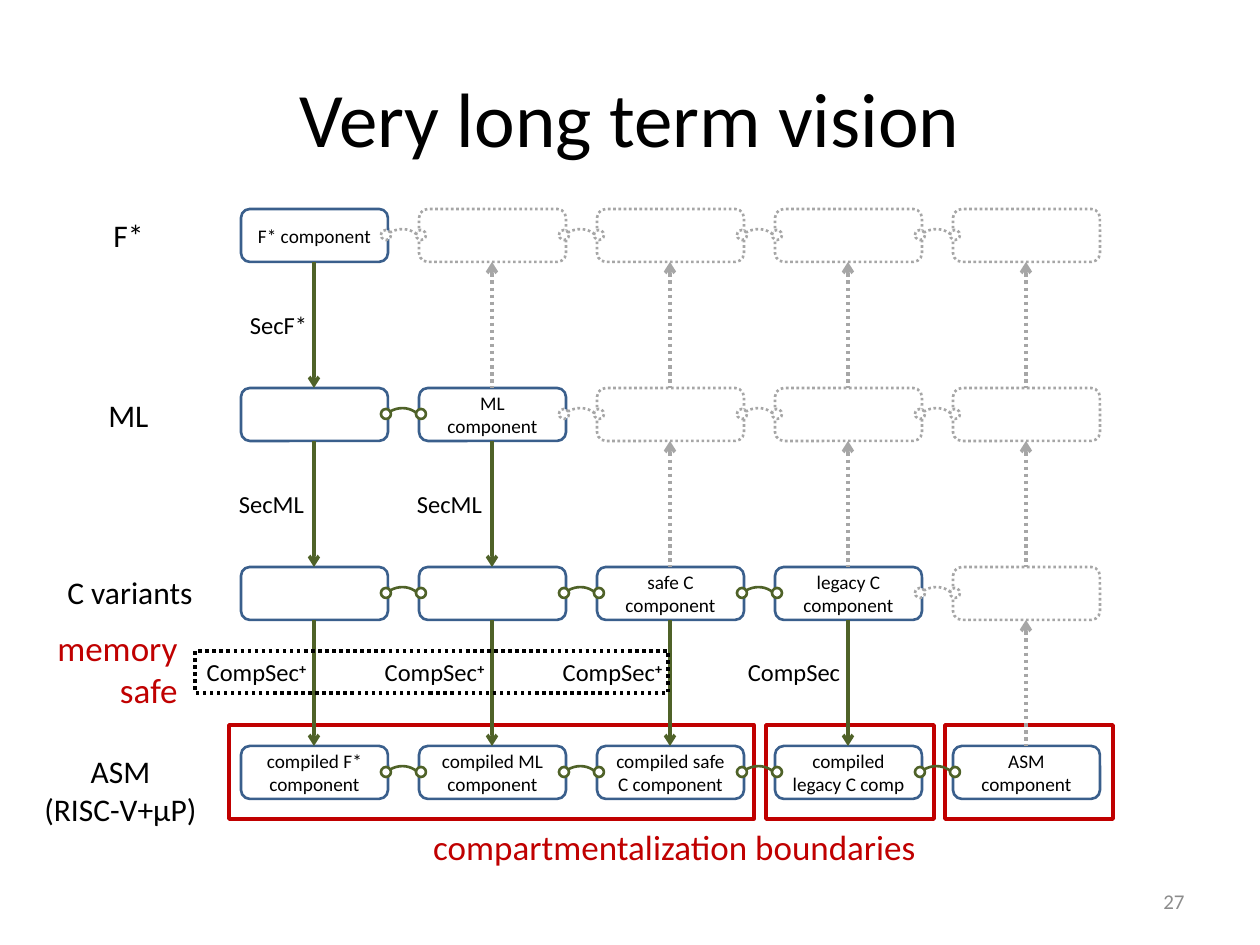
from pptx import Presentation
from pptx.dml.color import RGBColor
from pptx.enum.dml import MSO_LINE
from pptx.enum.shapes import MSO_CONNECTOR, MSO_SHAPE
from pptx.enum.text import MSO_ANCHOR, MSO_AUTO_SIZE, PP_ALIGN
from pptx.oxml.ns import qn
from pptx.util import Pt
from lxml import etree

PX = 914400 / 126
RECT, ROUND = MSO_SHAPE.RECTANGLE, MSO_SHAPE.ROUNDED_RECTANGLE
ARC, OVAL = MSO_SHAPE.ARC, MSO_SHAPE.OVAL
STRAIGHT = MSO_CONNECTOR.STRAIGHT
DOTTED = MSO_LINE.ROUND_DOT
LEFT, CENTER, RIGHT = PP_ALIGN.LEFT, PP_ALIGN.CENTER, PP_ALIGN.RIGHT
TOP, MIDDLE = MSO_ANCHOR.TOP, MSO_ANCHOR.MIDDLE
FIT = MSO_AUTO_SIZE.SHAPE_TO_FIT_TEXT

FONT = "Calibri"
COLORS = {"text": "000000", "paper": "FFFFFF", "number": "8C8C8C", "red": "C00000",
          "box": "3A5F8C", "secure": "4F6228", "faded": "A6A6A6"}

GRID = (241, 209, 860, 590)
COL_STEP, ROW_STEP = 178, 179
BOX_W, BOX_H = 147, 53
COLS = 5
# Last column of each row that holds a real component
LAST_REAL = [0, 1, 3, 4]
COMPONENTS = {
    (0, 0): "F* component", (1, 1): "ML component",
    (2, 2): "safe C component", (2, 3): "legacy C component",
    (3, 0): "compiled F* component", (3, 1): "compiled ML component",
    (3, 2): "compiled safe C component", (3, 3): "compiled legacy C comp",
    (3, 4): "ASM component",
}
# Text, superscript, left and top from the box above, width
SEC_F = ("SecF*", "", -4, 95, 83)
SEC_ML = ("SecML", "", -15, 95, 91)
COMP_SEC_PLUS = ("CompSec", "+", -50, 84, 131)
COMP_SEC = ("CompSec", "", -40, 84, 118)
COMPILERS = [[SEC_F], [SEC_ML] * 2, [COMP_SEC_PLUS] * 3 + [COMP_SEC]]
LEVELS = [
    (["F*"], (101, 210, 55, 50), LEFT),
    (["ML"], (96, 390, 66, 50), LEFT),
    (["C variants"], (55, 567, 152, 50), LEFT),
    (["ASM", "(RISC-V+μP)"], (31, 746, 179, 89), CENTER),
]


def emu(*lengths):
    return [round(n * PX) for n in lengths]


def rgb(name):
    return RGBColor.from_string(COLORS[name])


def set_line(line, color, width, dotted=False):
    line.color.rgb = rgb(color)
    line.width = Pt(width)
    if dotted:
        line.dash_style = DOTTED


def write(sp, lines, size=18, color="text", align=CENTER, anchor=TOP, wrap=True, sup=""):
    """Put one paragraph per line into sp, with sup raised after the last."""
    tf = sp.text_frame
    tf.word_wrap = wrap
    tf.vertical_anchor = anchor
    if not wrap:
        tf.auto_size = FIT
    for i, line in enumerate(lines):
        p = tf.add_paragraph() if i else tf.paragraphs[0]
        p.alignment = align
        runs = [p.add_run()]
        runs[0].text = line
        if sup and i == len(lines) - 1:
            r = p.add_run()
            r.text = sup
            r.font.bold = True
            r.font._element.set("baseline", "30000")
            runs.append(r)
        for r in runs:
            r.font.name = FONT
            r.font.size = Pt(size)
            r.font.color.rgb = rgb(color)


def add_text(s, box, lines, **fmt):
    write(s.shapes.add_textbox(*emu(*box)), lines, **fmt)


def add_outline(shapes, kind, box, color, width, dotted=False, fill=None):
    sp = shapes.add_shape(kind, *emu(*box))
    sp.shadow.inherit = False
    if fill:
        sp.fill.solid()
        sp.fill.fore_color.rgb = rgb(fill)
    else:
        sp.fill.background()
    set_line(sp.line, color, width, dotted)
    return sp


def add_arrow(s, x, top, bottom, real):
    """Real steps point down; faded ones are dotted and point up."""
    cx = s.shapes.add_connector(STRAIGHT, *emu(x, top, x, bottom))
    set_line(cx.line, "secure" if real else "faded", 2, not real)
    end = "a:tailEnd" if real else "a:headEnd"
    etree.SubElement(cx.line._get_or_add_ln(), qn(end), type="arrow")
    etree.SubElement(cx._element.spPr, qn("a:effectLst"))


def add_link(s, x, y, real):
    """Join two neighbouring boxes by an arc between two rings."""
    shapes = s.shapes.add_group_shape().shapes
    style = ("secure" if real else "faded", 1.5, not real)
    arc = add_outline(shapes, ARC, (x, y, 49, 45), *style)
    arc.rotation = 317.9
    for dx in (5, 40):
        add_outline(shapes, OVAL, (x + dx, y, 10, 10), *style, fill="paper")


def component_grid(s, box):
    left, top = box[:2]
    xs = [left + c * COL_STEP for c in range(COLS)]
    ys = [top + r * ROW_STEP for r in range(len(LAST_REAL))]
    for r, (y, last) in enumerate(zip(ys, LAST_REAL)):
        for c, x in enumerate(xs):
            real = c <= last
            sp = add_outline(s.shapes, ROUND, (x, y, BOX_W, BOX_H),
                             "box" if real else "faded", 1.5, not real, "paper")
            if (r, c) in COMPONENTS:
                write(sp, [COMPONENTS[r, c]], size=11, anchor=MIDDLE)
        for c, x in enumerate(xs[:-1]):
            add_link(s, x + BOX_W - 12, y + 21, c < last)
    for r, y in enumerate(ys[:-1]):
        for c, x in enumerate(xs):
            add_arrow(s, x + 73, y + BOX_H, y + ROW_STEP, c <= LAST_REAL[r])
        for x, (name, sup, dx, dy, w) in zip(xs, COMPILERS[r]):
            add_text(s, (x + dx, y + dy, w, 43), [name], size=14, wrap=False, sup=sup)


def compartments(s, box):
    left, top, width, height = box
    for dx, w in ((0, 525), (537, 168), (716, 168)):
        add_outline(s.shapes, RECT, (left + dx, top, w, height), "red", 2)
    add_text(s, (left + 189, top + height, 513, 55), ["compartmentalization boundaries"],
             size=20, color="red", wrap=False)


def memory_safe(s, box):
    left, top = box[:2]
    add_outline(s.shapes, RECT, (left + 151, top + 31, 473, 42), "text", 2, True)
    add_text(s, (left, top, 146, 97), ["memory", "safe"], size=20, color="red",
             align=RIGHT, wrap=False)


def main():
    prs = Presentation()
    prs.slide_width, prs.slide_height = emu(1260, 945)
    s = prs.slides.add_slide(prs.slide_layouts[6])
    add_text(s, (63, 38, 1134, 157), ["Very long term vision"], size=44, anchor=MIDDLE)
    add_text(s, (903, 876, 294, 50), ["27"], size=12, color="number", align=RIGHT,
             anchor=MIDDLE)
    compartments(s, (229, 725, 884, 94))
    component_grid(s, GRID)
    for lines, box, align in LEVELS:
        add_text(s, box, lines, align=align, wrap=False)
    memory_safe(s, (44, 620, 624, 97))
    prs.save("out.pptx")


if __name__ == "__main__":
    main()
